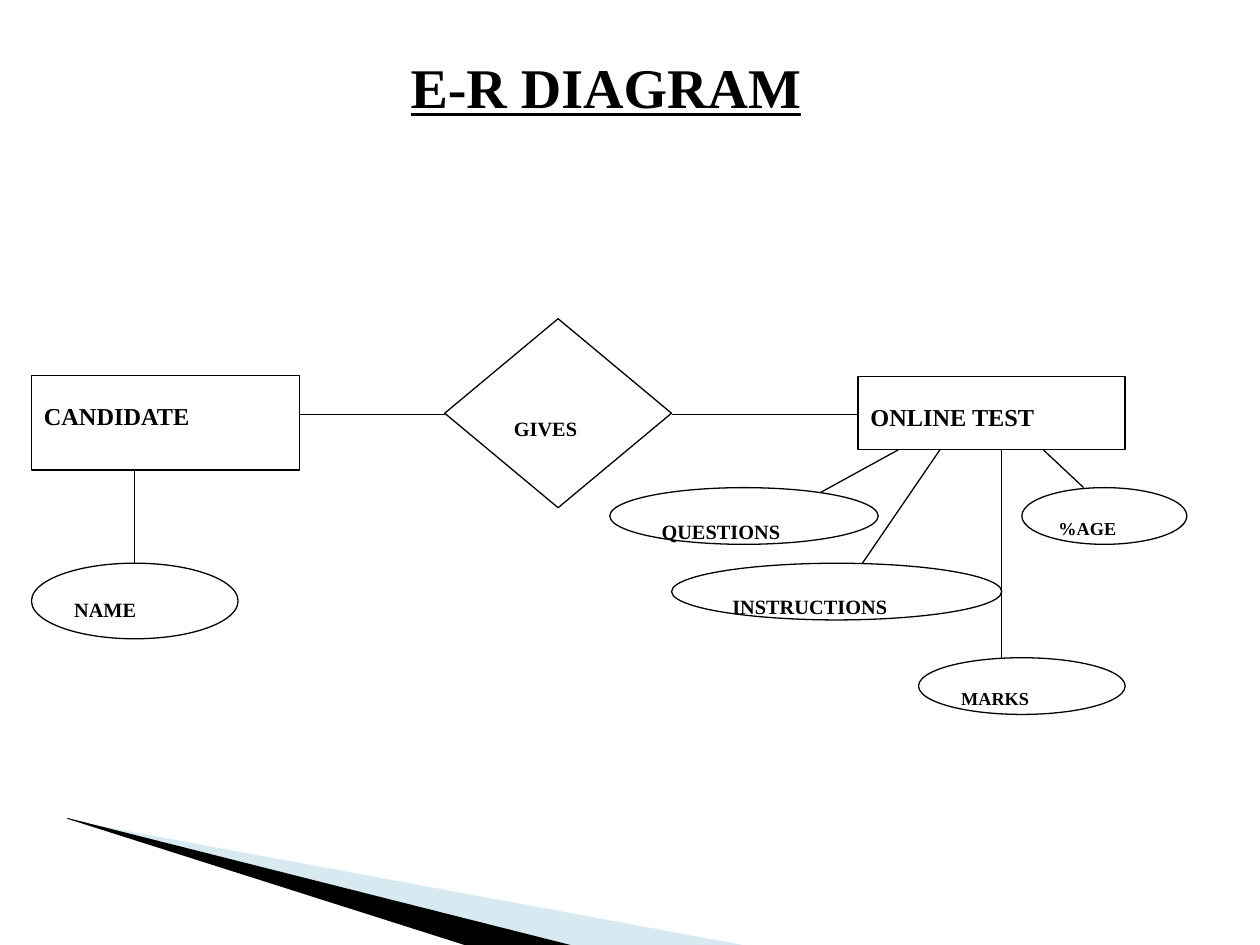
from lxml import etree
from pptx import Presentation
from pptx.dml.color import RGBColor
from pptx.enum.shapes import MSO_CONNECTOR, MSO_SHAPE
from pptx.enum.text import MSO_ANCHOR, PP_ALIGN
from pptx.oxml.ns import qn
from pptx.util import Inches, Pt

RECT = MSO_SHAPE.RECTANGLE
OVAL = MSO_SHAPE.OVAL
DIAMOND = MSO_SHAPE.FLOWCHART_DECISION
STRAIGHT = MSO_CONNECTOR.STRAIGHT
FONT = "Times New Roman"
BLACK, WHITE, BLUE = "000000", "FFFFFF", "9FCBDC"

# Corner wedges: colour, opacity in percent, points
WEDGES = [
    (BLUE, 40, [(0.55, 6.51), (5.95, 7.51), (4.56, 7.51), (0.55, 6.5)]),
    (BLACK, 100, [(0.53, 6.49), (4.57, 7.51), (3.72, 7.51), (0.54, 6.5)]),
]

# Links: start, end
LINKS = [
    ((2.38, 3.29), (3.53, 3.29)),
    ((5.33, 3.29), (6.81, 3.29)),
    ((1.07, 3.74), (1.07, 4.49)),
    ((7.13, 3.57), (6.31, 4.02)),
    ((7.46, 3.57), (6.64, 4.77)),
    ((7.95, 3.57), (7.95, 5.22)),
    ((8.28, 3.57), (8.6, 3.87)),
]

# Nodes: label, form, box, text size, top inset
NODES = [
    ("GIVES", DIAMOND, (3.53, 2.53, 1.8, 1.5), 20, 0.29),
    ("ONLINE TEST", RECT, (6.81, 2.99, 2.12, 0.58), 24, 0.07),
    ("CANDIDATE", RECT, (0.25, 2.98, 2.13, 0.75), 24, 0.07),
    ("QUESTIONS", OVAL, (4.84, 3.87, 2.13, 0.45), 20, 0.07),
    ("INSTRUCTIONS", OVAL, (5.33, 4.47, 2.62, 0.45), 20, 0.07),
    ("NAME", OVAL, (0.25, 4.47, 1.64, 0.6), 20, 0.07),
    ("MARKS", OVAL, (7.29, 5.22, 1.64, 0.45), 18, 0.07),
    ("%AGE", OVAL, (8.11, 3.87, 1.31, 0.45), 18, 0.07),
]


def paint(color, value):
    color.rgb = RGBColor.from_string(value)


def fill(shape, value, alpha=100):
    shape.shadow.inherit = False
    shape.fill.solid()
    paint(shape.fill.fore_color, value)
    if alpha < 100:
        node = shape.fill._xPr.find(qn("a:solidFill"))[0]
        etree.SubElement(node, qn("a:alpha")).set("val", str(alpha * 1000))


def edge(shape):
    paint(shape.line.color, BLACK)
    shape.line.width = Pt(0.75)


def write(shape, text, size, top):
    frame = shape.text_frame
    frame.word_wrap = True
    frame.vertical_anchor = MSO_ANCHOR.TOP
    frame.margin_top = Inches(top)
    para = frame.paragraphs[0]
    para.alignment = PP_ALIGN.LEFT
    run = para.add_run()
    run.text = text
    font = para.font
    font.name, font.size, font.bold = FONT, Pt(size), True
    paint(font.color, BLACK)
    return para, run


prs = Presentation()
prs.slide_width, prs.slide_height = Inches(10), Inches(7.5)
slide = prs.slides.add_slide(prs.slide_layouts[6])
shapes = slide.shapes

# Corner wedges
for color, alpha, points in WEDGES:
    spots = [(Inches(x), Inches(y)) for x, y in points]
    build = shapes.build_freeform(*spots[0])
    build.add_line_segments(spots[1:], close=True)
    wedge = build.convert_to_shape()
    fill(wedge, color, alpha)
    wedge.line.fill.background()

# Links lie behind the nodes
for start, end in LINKS:
    link = shapes.add_connector(STRAIGHT, *map(Inches, start + end))
    edge(link)
    etree.SubElement(link._element.spPr, qn("a:effectLst"))

# Entities, relation and attributes
for text, form, box, size, top in NODES:
    node = shapes.add_shape(form, *map(Inches, box))
    fill(node, WHITE, 98 if form == DIAMOND else 100)
    edge(node)
    para, run = write(node, text, size, top)
    # Slightly raised text, drawn at reduced size
    run._r.get_or_add_rPr().set("baseline", "2000")

# Title
title = shapes.add_textbox(*map(Inches, (2.58, 0.33, 5.75, 0.64)))
para, run = write(title, "E-R DIAGRAM", 32, 0.09)
para.font.underline = True
props = para._p.get_or_add_pPr()
props.set("marL", str(Inches(0.58)))
props.set("indent", "0")

prs.save("out.pptx")
